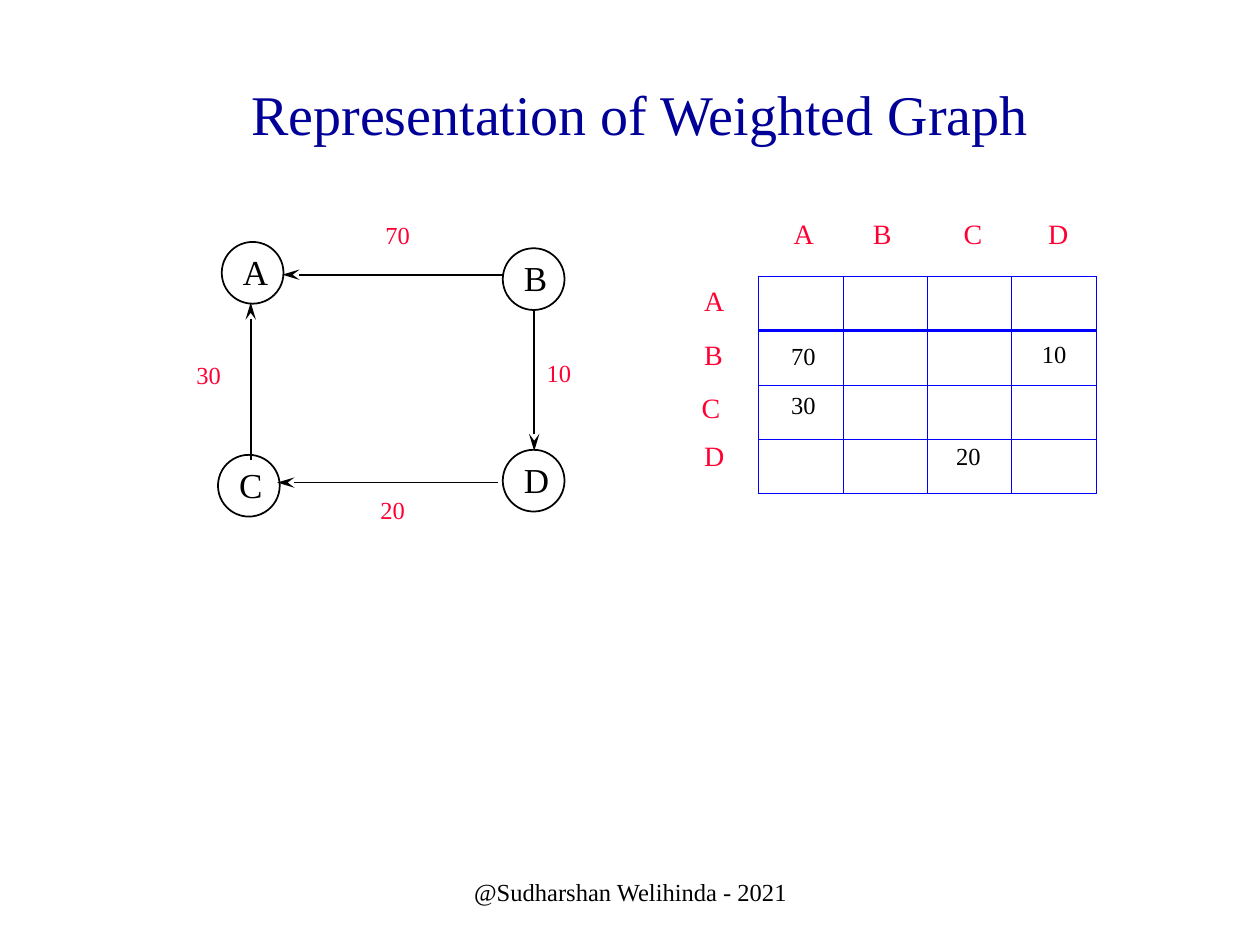
from lxml import etree
from pptx import Presentation
from pptx.dml.color import RGBColor
from pptx.enum.shapes import MSO_CONNECTOR as Connector, MSO_SHAPE as Shape
from pptx.enum.text import MSO_ANCHOR as Anchor, PP_ALIGN as Align
from pptx.oxml.ns import qn
from pptx.util import Inches, Pt

COLORS = {"title": "000099", "ink": "000000", "accent": "FF0033", "grid": "0000FF"}
FONT = "Times New Roman"
NODE_SIZE = 0.49
NODES = {"A": (1.76, 1.92), "B": (3.99, 1.97), "C": (1.73, 3.61), "D": (3.99, 3.57)}
EDGES = [
    ((3.99, 2.18), (2.24, 2.18)),
    ((1.99, 3.65), (1.99, 2.4)),
    ((3.95, 3.83), (2.2, 3.83)),
    ((4.24, 2.47), (4.24, 3.58)),
]
WEIGHTS = [("70", 2.96, 1.7), ("30", 1.46, 2.81), ("20", 2.92, 3.88), ("10", 4.24, 2.79)]
COLUMN_LABELS = [("A", 6.2), ("B", 6.83), ("C", 7.55), ("D", 8.22)]
ROW_LABELS = [("A", 5.49, 2.2), ("B", 5.49, 2.63), ("C", 5.47, 3.05), ("D", 5.49, 3.43)]
ENTRIES = [("70", 6.18, 2.66), ("10", 8.17, 2.64), ("30", 6.18, 3.05), ("20", 7.49, 3.45)]


def color(name):
    return RGBColor.from_string(COLORS[name])


def add_text(page, text, left, top, width, height, size, ink, wrap=True, centred=False):
    box = page.shapes.add_textbox(Inches(left), Inches(top), Inches(width), Inches(height))
    frame = box.text_frame
    frame.word_wrap = wrap
    frame.text = text
    para = frame.paragraphs[0]
    if centred:
        frame.vertical_anchor = Anchor.MIDDLE
        para.alignment = Align.CENTER
    font = para.runs[0].font
    font.name = FONT
    font.size = Pt(size)
    font.color.rgb = color(ink)


def add_number(page, text, left, top, ink):
    add_text(page, text, left, top, 0.41, 0.34, 14, ink, wrap=False)


def add_label(page, text, left, top):
    add_text(page, text, left, top, 0.4, 0.37, 16, "accent")


def add_node(page, name, left, top):
    circle = page.shapes.add_shape(
        Shape.OVAL, Inches(left), Inches(top), Inches(NODE_SIZE), Inches(NODE_SIZE))
    circle.shadow.inherit = False
    circle.fill.background()
    circle.line.color.rgb = color("ink")
    circle.line.width = Pt(1)
    add_text(page, name, left + 0.07, top + 0.02, 0.25, 0.43, 20, "ink")


def add_edge(page, start, end):
    edge = page.shapes.add_connector(
        Connector.STRAIGHT, *[Inches(value) for value in start + end])
    edge.line.color.rgb = color("ink")
    edge.line.width = Pt(1)
    etree.SubElement(edge.line._get_or_add_ln(), qn("a:tailEnd"),
                     type="stealth", w="med", len="lg")
    etree.SubElement(edge._element.spPr, qn("a:effectLst"))


def set_border(cell, side, width):
    properties = cell._tc.get_or_add_tcPr()
    line = etree.SubElement(properties, qn("a:" + side), w=str(Pt(width)))
    fill = etree.SubElement(line, qn("a:solidFill"))
    etree.SubElement(fill, qn("a:srgbClr"), val=COLORS["grid"])


def add_matrix(page):
    count = len(NODES)
    table = page.shapes.add_table(
        count, count, Inches(6.02), Inches(2.19), Inches(2.68), Inches(1.73)).table
    table.first_row = False
    table.horz_banding = False
    for row_index, row in enumerate(table.rows):
        for cell in row.cells:
            for side in ("lnL", "lnR", "lnT", "lnB"):
                heavy = (row_index, side) in ((0, "lnB"), (1, "lnT"))
                set_border(cell, side, 1.47 if heavy else 0.45)
            cell.fill.background()


def main():
    deck = Presentation()
    deck.slide_width = Inches(10)
    deck.slide_height = Inches(7.5)
    page = deck.slides.add_slide(deck.slide_layouts[6])

    add_text(page, "Representation of Weighted Graph", 0.83, 0.44, 8.5, 0.92, 32,
             "title", centred=True)
    add_text(page, "@Sudharshan Welihinda - 2021", 3.42, 6.83, 3.17, 0.5, 14,
             "ink", wrap=False, centred=True)
    for name, (left, top) in NODES.items():
        add_node(page, name, left, top)
    for start, end in EDGES:
        add_edge(page, start, end)
    for text, left, top in WEIGHTS:
        add_number(page, text, left, top, "accent")
    add_matrix(page)
    for text, left in COLUMN_LABELS:
        add_label(page, text, left, 1.67)
    for text, left, top in ROW_LABELS:
        add_label(page, text, left, top)
    for text, left, top in ENTRIES:
        add_number(page, text, left, top, "ink")
    deck.save("out.pptx")


if __name__ == "__main__":
    main()
